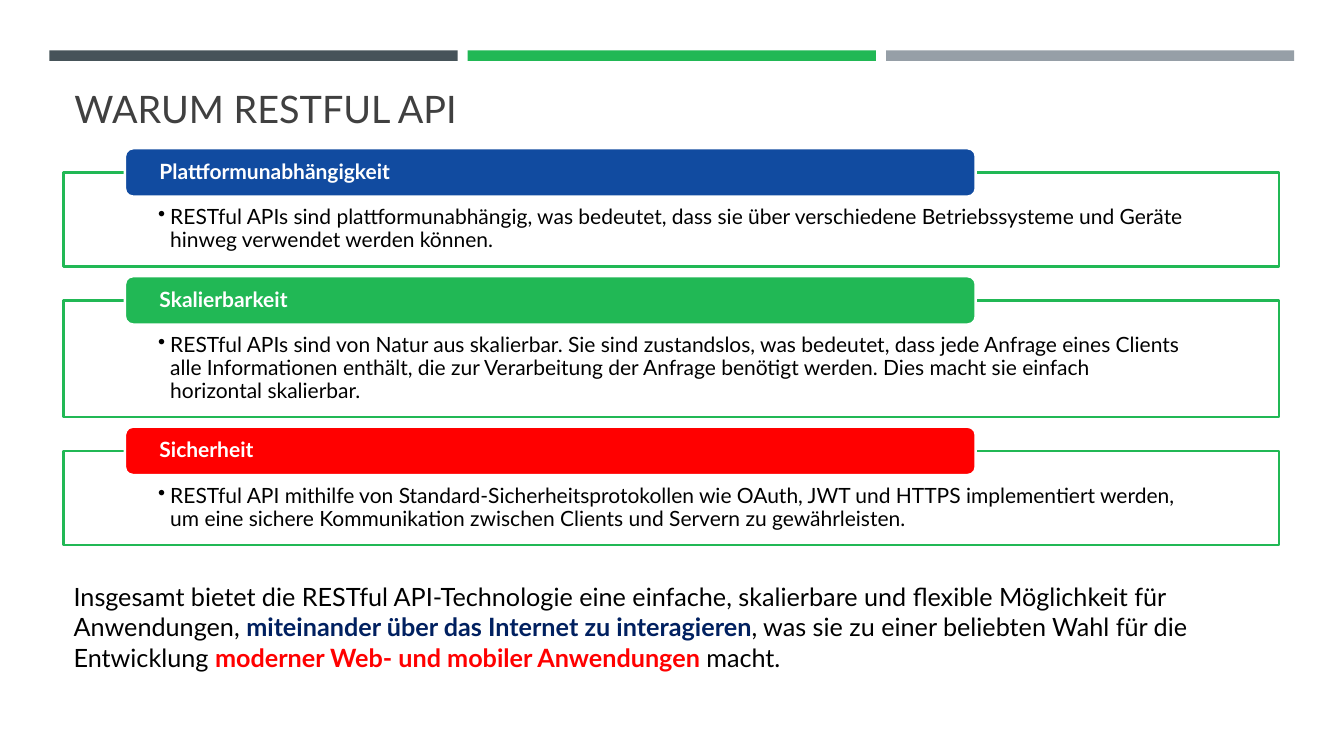
import dataclasses

import pptx
import pptx.dml.color
import pptx.enum.shapes
import pptx.enum.text
import pptx.oxml
import pptx.oxml.ns
import pptx.util

Pt = pptx.util.Pt
RGBColor = pptx.dml.color.RGBColor
ShapeType = pptx.enum.shapes.MSO_SHAPE
Anchor = pptx.enum.text.MSO_ANCHOR
LEFT = pptx.enum.text.PP_ALIGN.LEFT


@dataclasses.dataclass(frozen=True)
class Theme:
    font: str = "Lato"
    white: str = "FFFFFF"
    black: str = "000000"
    heading: str = "404040"
    slate: str = "465359"
    green: str = "21B855"
    gray: str = "969FA7"
    blue: str = "114BA0"
    navy: str = "002060"
    red: str = "FF0000"
    title_size: float = 27
    closing_size: float = 18
    card_size: float = 15
    outline: float = 1.75


theme = Theme()


def add_box(kind, left, top, width, height, fill, outline=None):
    shape = slide.shapes.add_shape(kind, Pt(left), Pt(top), Pt(width), Pt(height))
    shape.shadow.inherit = False
    shape.fill.solid()
    shape.fill.fore_color.rgb = RGBColor.from_string(fill)
    if outline:
        shape.line.color.rgb = RGBColor.from_string(outline)
        shape.line.width = Pt(theme.outline)
    else:
        shape.line.fill.background()
    return shape


def write(shape, lines, size, frame_format, line_spacing):
    frame = shape.text_frame
    for name, value in {"word_wrap": True, **frame_format}.items():
        setattr(frame, name, value)
    for index, runs in enumerate(lines):
        paragraph = frame.add_paragraph() if index else frame.paragraphs[0]
        paragraph.alignment = LEFT
        paragraph.line_spacing = line_spacing
        for text, color, bold in runs:
            run = paragraph.add_run()
            run.text = text
            run.font.color.rgb = RGBColor.from_string(color)
            for name, value in {"name": theme.font, "size": Pt(size), "bold": bold}.items():
                setattr(run.font, name, value)


presentation = pptx.Presentation()
presentation.slide_width = Pt(960)
presentation.slide_height = Pt(540)
slide = presentation.slides.add_slide(presentation.slide_layouts[5])

for index, color in enumerate([theme.slate, theme.green, theme.gray]):
    add_box(ShapeType.RECTANGLE, 35.3 + index * 298.8, 36, 291.6, 7.5, color)

title = slide.shapes.title
for name, value in {"left": 46, "top": 55.5, "width": 868.3, "height": 42.5}.items():
    setattr(title, name, Pt(value))
title_format = {
    "vertical_anchor": Anchor.BOTTOM,
    "auto_size": pptx.enum.text.MSO_AUTO_SIZE.NONE,
}
write(title, [[("WARUM RESTFUL API", theme.heading, False)]],
      theme.title_size, title_format, 0.9)

cards = [
    ("Plattformunabhängigkeit", theme.blue, 67.2,
     "RESTful APIs sind plattformunabhängig, was bedeutet, dass sie über verschiedene "
     "Betriebssysteme und Geräte hinweg verwendet werden können."),
    ("Skalierbarkeit", theme.green, 83.3,
     "RESTful APIs sind von Natur aus skalierbar. Sie sind zustandslos, was bedeutet, "
     "dass jede Anfrage eines Clients alle Informationen enthält, die zur Verarbeitung "
     "der Anfrage benötigt werden. Dies macht sie einfach horizontal skalierbar."),
    ("Sicherheit", theme.red, 67.2,
     "RESTful API mithilfe von Standard-Sicherheitsprotokollen wie OAuth, JWT und HTTPS "
     "implementiert werden, um eine sichere Kommunikation zwischen Clients und Servern "
     "zu gewährleisten."),
]
body_format = {
    "vertical_anchor": Anchor.TOP,
    "margin_left": Pt(67.5),
    "margin_right": Pt(67.5),
    "margin_top": Pt(24.5),
    "margin_bottom": Pt(8.5),
}
header_format = {
    "vertical_anchor": Anchor.MIDDLE,
    "margin_left": Pt(23),
    "margin_right": Pt(23),
    "margin_top": 0,
    "margin_bottom": 0,
}
namespace = pptx.oxml.ns.nsdecls("a")
card_top = 123.2
for heading, color, height, description in cards:
    body = add_box(ShapeType.RECTANGLE, 45.5, card_top, 868.3, height,
                   theme.white, theme.green)
    fill_color = body.fill._xPr.find(".//" + pptx.oxml.ns.qn("a:srgbClr"))
    fill_color.append(pptx.oxml.parse_xml(f'<a:alpha {namespace} val="90000"/>'))
    write(body, [[(description, theme.black, False)]], theme.card_size, body_format, 0.9)
    properties = body.text_frame.paragraphs[0]._p.get_or_add_pPr()
    properties.set("marL", str(Pt(8.64)))
    properties.set("indent", str(-Pt(8.64)))
    properties.append(pptx.oxml.parse_xml(f'<a:buChar {namespace} char="•"/>'))

    header = add_box(ShapeType.ROUNDED_RECTANGLE, 89.3, card_top - 17.3, 607.7, 34.5,
                     color, theme.white)
    write(header, [[(heading, theme.white, True)]], theme.card_size, header_format, 0.9)
    card_top += height + 24.2

closing = slide.shapes.add_textbox(Pt(45.5), Pt(411.8), Pt(879), Pt(72.7))
closing_lines = [
    [("Insgesamt bietet die RESTful API-Technologie eine einfache, skalierbare und "
      "flexible Möglichkeit für", theme.black, False)],
    [("Anwendungen, ", theme.black, False),
     ("miteinander über das Internet zu interagieren", theme.navy, True),
     (", was sie zu einer beliebten Wahl für die", theme.black, False)],
    [("Entwicklung ", theme.black, False),
     ("moderner Web- und mobiler Anwendungen ", theme.red, True),
     ("macht.", theme.black, False)],
]
write(closing, closing_lines, theme.closing_size, {"vertical_anchor": Anchor.TOP}, 1.0)

presentation.save("out.pptx")
